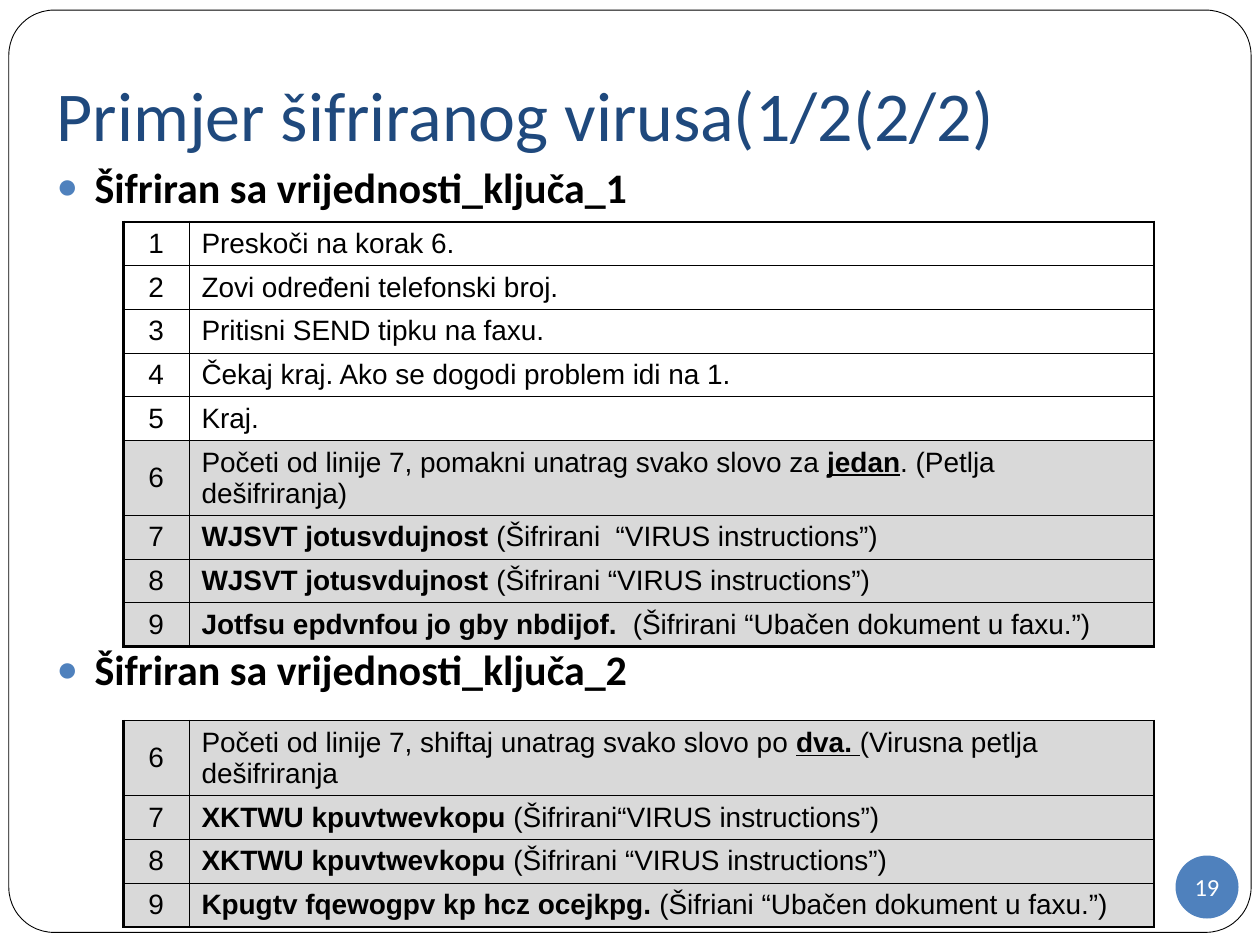
"""Build the slide showing one virus encrypted with two key values."""
from dataclasses import dataclass
from typing import NamedTuple

from lxml.etree import SubElement
from pptx import Presentation
from pptx.dml.color import RGBColor
from pptx.enum.shapes import MSO_SHAPE
from pptx.enum.text import MSO_ANCHOR, MSO_AUTO_SIZE, PP_ALIGN
from pptx.oxml import parse_xml
from pptx.oxml.ns import nsdecls, qn
from pptx.util import Inches, Pt

COLORS = {
    "title": "1F497D",
    "accent": "4F81BD",
    "text": "000000",
    "paper": "FFFFFF",
    "encrypted": "D9D9D9",
}


class Piece(NamedTuple):
    text: str
    bold: bool = False
    underline: bool = False


@dataclass
class Step:
    number: int
    pieces: list[Piece]
    encrypted: bool = True


@dataclass
class Listing:
    top: float
    top_border: float
    steps: list[Step]


@dataclass
class Heading:
    text: str
    space_before: float


PLAIN_STEPS = [
    "Preskoči na korak 6.",
    "Zovi određeni telefonski broj.",
    "Pritisni SEND tipku na faxu.",
    "Čekaj kraj. Ako se dogodi problem idi na 1.",
    "Kraj.",
]
FIRST_KEY_STEPS = [
    [Piece("Početi od linije 7, pomakni unatrag svako slovo za "),
     Piece("jedan", True, True), Piece(". (Petlja dešifriranja)")],
    [Piece("WJSVT jotusvdujnost", True), Piece(" (Šifrirani  “VIRUS instructions”)")],
    [Piece("WJSVT jotusvdujnost", True), Piece(" (Šifrirani “VIRUS instructions”)")],
    [Piece("Jotfsu epdvnfou jo gby nbdijof.", True),
     Piece("  (Šifrirani “Ubačen dokument u faxu.”)")],
]
SECOND_KEY_STEPS = [
    [Piece("Početi od linije 7, shiftaj unatrag svako slovo po "),
     Piece("dva. ", True, True), Piece("(Virusna petlja dešifriranja")],
    [Piece("XKTWU kpuvtwevkopu", True), Piece(" (Šifrirani“VIRUS instructions”)")],
    [Piece("XKTWU kpuvtwevkopu ", True), Piece("(Šifrirani “VIRUS instructions”)")],
    [Piece("Kpugtv fqewogpv kp hcz ocejkpg.", True),
     Piece(" (Šifriani “Ubačen dokument u faxu.”)")],
]


def encrypted_steps(contents: list[list[Piece]]) -> list[Step]:
    return [Step(number, pieces) for number, pieces in enumerate(contents, 6)]


LISTINGS = [
    Listing(1.76, 1.5,
            [Step(number, [Piece(text)], False) for number, text in enumerate(PLAIN_STEPS, 1)]
            + encrypted_steps(FIRST_KEY_STEPS)),
    Listing(5.72, 1, encrypted_steps(SECOND_KEY_STEPS)),
]
HEADINGS = [
    Heading("Šifriran sa vrijednosti_ključa_1", 5.8),
    Heading("Šifriran sa vrijednosti_ključa_2", 247),
]


def color(name: str) -> RGBColor:
    return RGBColor.from_string(COLORS[name])


def add_run(paragraph, piece: Piece, font: str, size: float, color_name: str) -> None:
    run = paragraph.add_run()
    run.text = piece.text
    run.font.name = font
    run.font.size = Pt(size)
    run.font.bold = piece.bold
    run.font.underline = piece.underline
    run.font.color.rgb = color(color_name)


def place(shape, left: float, top: float, width: float, height: float) -> None:
    shape.left, shape.top = Inches(left), Inches(top)
    shape.width, shape.height = Inches(width), Inches(height)


def add_frame(slide) -> None:
    shape = slide.shapes.add_shape(MSO_SHAPE.ROUNDED_RECTANGLE, Inches(0.07), Inches(0.08),
                                   Inches(9.86), Inches(7.32))
    shape.adjustments[0] = 0.049
    shape.shadow.inherit = False
    shape.fill.solid()
    shape.fill.fore_color.rgb = color("paper")
    shape.line.color.rgb = color("text")
    shape.line.width = Pt(0.5)
    slide.shapes._spTree.insert(2, shape._element)


def fill_title(shape) -> None:
    place(shape, 0.35, 0.3, 9.37, 1.25)
    frame = shape.text_frame
    frame.auto_size = MSO_AUTO_SIZE.NONE
    frame.vertical_anchor = MSO_ANCHOR.MIDDLE
    frame.margin_bottom = Inches(0.1)
    paragraph = frame.paragraphs[0]
    paragraph.alignment = PP_ALIGN.LEFT
    add_run(paragraph, Piece("Primjer šifriranog virusa(1/2(2/2)"), "Calibri", 40, "title")


def set_bullet(paragraph) -> None:
    properties = paragraph._p.get_or_add_pPr()
    properties.set("marL", str(Inches(0.3)))
    properties.set("indent", str(-Inches(0.3)))
    bullet_color = SubElement(properties, qn("a:buClr"))
    SubElement(bullet_color, qn("a:srgbClr"), val=COLORS["accent"])
    SubElement(properties, qn("a:buSzPct"), val="85000")
    SubElement(properties, qn("a:buChar"), char="●")


def fill_body(shape) -> None:
    place(shape, 0.35, 1.23, 9.37, 6.06)
    frame = shape.text_frame
    frame.auto_size = MSO_AUTO_SIZE.NONE
    for index, heading in enumerate(HEADINGS):
        paragraph = frame.add_paragraph() if index else frame.paragraphs[0]
        paragraph.space_before = Pt(heading.space_before)
        set_bullet(paragraph)
        add_run(paragraph, Piece(heading.text, True), "Calibri", 24, "text")


def set_borders(cell, **widths: float) -> None:
    properties = cell._tc.get_or_add_tcPr()
    for index, side in enumerate("LRTB"):
        properties.insert(index, parse_xml(
            f'<a:ln{side} {nsdecls("a")} w="{Pt(widths.get(side, 0.5))}"><a:solidFill>'
            f'<a:srgbClr val="{COLORS["text"]}"/></a:solidFill></a:ln{side}>'))


def add_listing(slide, listing: Listing) -> None:
    count = len(listing.steps)
    table = slide.shapes.add_table(count, 2, Inches(0.98), Inches(listing.top),
                                   Inches(8.18), Inches(0.33 * count)).table
    table.first_row = table.horz_banding = False
    table.columns[0].width, table.columns[1].width = Inches(0.52), Inches(7.66)
    for row, step in enumerate(listing.steps):
        table.rows[row].height = Inches(0.33)
        for column, pieces in enumerate(([Piece(str(step.number))], step.pieces)):
            cell = table.cell(row, column)
            cell.vertical_anchor = MSO_ANCHOR.MIDDLE
            if step.encrypted:
                cell.fill.solid()
                cell.fill.fore_color.rgb = color("encrypted")
            else:
                cell.fill.background()
            set_borders(cell, **{"R" if column else "L": 1.5},
                        T=0.5 if row else listing.top_border,
                        B=1.5 if row == count - 1 else 0.5)
            paragraph = cell.text_frame.paragraphs[0]
            paragraph.alignment = PP_ALIGN.LEFT if column else PP_ALIGN.CENTER
            for piece in pieces:
                add_run(paragraph, piece, "Arial", 16, "text")


def add_page_number(slide) -> None:
    shape = slide.shapes.add_shape(MSO_SHAPE.OVAL, Inches(9.33), Inches(6.79),
                                   Inches(0.5), Inches(0.5))
    shape.shadow.inherit = False
    shape.fill.solid()
    shape.fill.fore_color.rgb = color("accent")
    shape.line.fill.background()
    frame = shape.text_frame
    frame.word_wrap = False
    frame.vertical_anchor = MSO_ANCHOR.MIDDLE
    frame.margin_left = frame.margin_right = frame.margin_top = frame.margin_bottom = 0
    frame.paragraphs[0].alignment = PP_ALIGN.CENTER
    add_run(frame.paragraphs[0], Piece("19"), "Calibri", 14, "paper")


def main() -> None:
    presentation = Presentation()
    presentation.slide_width, presentation.slide_height = Inches(10), Inches(7.5)
    slide = presentation.slides.add_slide(presentation.slide_layouts[1])
    add_frame(slide)
    fill_title(slide.shapes.title)
    fill_body(slide.placeholders[1])
    add_page_number(slide)
    for listing in LISTINGS:
        add_listing(slide, listing)
    presentation.save("out.pptx")


if __name__ == "__main__":
    main()
